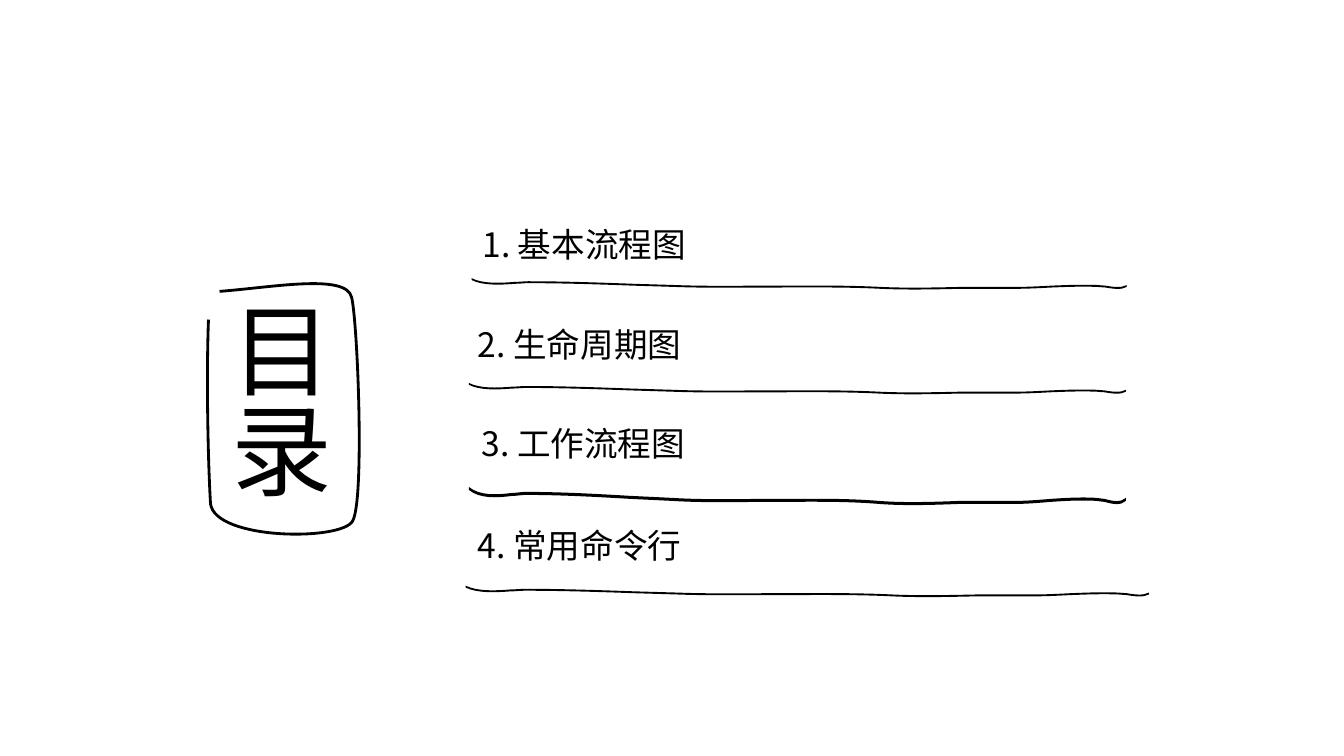
from dataclasses import dataclass

from lxml.etree import SubElement
from pptx import Presentation
from pptx.dml.color import RGBColor
from pptx.enum.text import MSO_ANCHOR, MSO_AUTO_SIZE, PP_ALIGN
from pptx.oxml.ns import qn
from pptx.util import Cm, Pt


@dataclass(frozen=True)
class Theme:
    """Colours, font and sizes of the slide."""
    ink: RGBColor = RGBColor(0, 0, 0)
    paper: RGBColor = RGBColor(255, 255, 255)
    font: str = "Noto Sans CJK JP"
    title_size: Pt = Pt(72)
    item_size: Pt = Pt(24)
    outline: Pt = Pt(2)


@dataclass(frozen=True)
class Box:
    """A rectangle in centimetres."""
    left: float
    top: float
    width: float
    height: float

    def place(self, shape):
        """Move and size a shape to this box."""
        shape.left, shape.top = Cm(self.left), Cm(self.top)
        shape.width, shape.height = Cm(self.width), Cm(self.height)

    def point(self, x, y):
        """Turn fractions of the box into slide coordinates."""
        return Cm(self.left + x * self.width), Cm(self.top + y * self.height)


THEME = Theme()
STROKE_SIZE = (6.54, 0.19)
STROKE_THICKNESS = 0.03
STROKE_CURVE = [
    (0.01, 0), (0.12, 0.09), (0.29, 0.08), (0.44, 0.06),
    (0.49, 0.06), (0.53, 0.05), (0.57, 0.05),
    (0.92, 0.05), (1.28, 0.07), (1.62, 0.09),
    (2.03, 0.11), (2.03, 0.11), (2.03, 0.11),
    (2.35, 0.13), (2.67, 0.12), (2.98, 0.12),
    (3.34, 0.12), (3.71, 0.11), (4.08, 0.14),
    (4.34, 0.16), (4.62, 0.15), (4.88, 0.14),
    (5.06, 0.14), (5.24, 0.14), (5.43, 0.14),
    (5.54, 0.14), (5.66, 0.13), (5.78, 0.12),
    (5.93, 0.11), (6.08, 0.1), (6.24, 0.11),
    (6.26, 0.11), (6.29, 0.12), (6.32, 0.12),
    (6.39, 0.14), (6.48, 0.16), (6.53, 0.11),
]
FRAME_SIZE = (1.5, 2.49)
FRAME_CURVE = [
    (0.12, 0.08), (0.65, 0.04), (1.38, -0.1), (1.43, 0.14),
    (1.49, 0.38), (1.56, 2.15), (1.44, 2.36),
    (1.33, 2.56), (0.08, 2.55), (0.03, 2.19),
    (0, 1.67), (-0.01, 0.84), (0.01, 0.36),
]
FRAME_BOX = Box(5.23, 7.14, 3.81, 6.32)
TITLE_BOX = Box(5.21, 7.42, 3.58, 6.05)
ITEMS = [
    ("1. 基本流程图", Box(11.91, 5.51, 16.51, 1.27), Box(11.86, 7.01, 16.56, 0.3)),
    ("2. 生命周期图", Box(11.79, 8.03, 17.12, 1.27), Box(11.79, 9.65, 16.61, 0.3)),
    ("3. 工作流程图", Box(11.89, 10.52, 13.77, 1.27), Box(11.79, 12.27, 16.61, 0.48)),
    ("4. 常用命令行", Box(11.79, 13.11, 16.64, 1.27), Box(11.71, 14.76, 17.27, 0.3)),
]


def bend(shape, box):
    """Turn each three line segments into one cubic curve and fit the shape to the box."""
    outline = shape._element.find(".//" + qn("a:path"))
    shift_x, shift_y = shape.left - Cm(box.left), shape.top - Cm(box.top)
    for point in outline.iter(qn("a:pt")):
        point.set("x", str(int(point.get("x")) + shift_x))
        point.set("y", str(int(point.get("y")) + shift_y))
    lines = outline.findall(qn("a:lnTo"))
    for first in range(0, len(lines), 3):
        curve = SubElement(outline, qn("a:cubicBezTo"))
        for line in lines[first:first + 3]:
            curve.append(line[0])
            outline.remove(line)
    for close in outline.findall(qn("a:close")):
        outline.append(close)
    box.place(shape)
    outline.set("w", str(shape.width))
    outline.set("h", str(shape.height))


def draw_outline(slide, box, curve, size, fill, close):
    """Draw a filled curve, scaled from its size to the box."""
    start, *rest = [box.point(x / size[0], y / size[1]) for x, y in curve]
    builder = slide.shapes.build_freeform(*start, scale=1.0)
    builder.add_line_segments(rest, close=close)
    shape = builder.convert_to_shape()
    bend(shape, box)
    shape.shadow.inherit = False
    shape.fill.solid()
    shape.fill.fore_color.rgb = fill
    return shape


def write_text(shape, text, size):
    """Write one left-aligned paragraph in the theme font."""
    frame = shape.text_frame
    frame.text = text
    frame.word_wrap = True
    frame.auto_size = MSO_AUTO_SIZE.SHAPE_TO_FIT_TEXT
    frame.vertical_anchor = MSO_ANCHOR.TOP
    paragraph = frame.paragraphs[0]
    paragraph.alignment = PP_ALIGN.LEFT
    font = paragraph.font
    font.name, font.size = THEME.font, size
    font.color.rgb = THEME.ink
    defaults = paragraph._p.pPr.find(qn("a:defRPr"))
    SubElement(defaults, qn("a:ea")).set("typeface", THEME.font)


def add_title(slide, frame_box, title_box):
    """Draw the hand-drawn frame and its vertical title."""
    frame = draw_outline(slide, frame_box, FRAME_CURVE, FRAME_SIZE, THEME.paper, False)
    frame.line.color.rgb = THEME.ink
    frame.line.width = THEME.outline
    title = slide.shapes.title
    title_box.place(title)
    write_text(title, "目录", THEME.title_size)
    title.text_frame._txBody.bodyPr.set("vert", "eaVert")
    slide.shapes._spTree.append(title._element)


def add_item(slide, text, text_box, stroke_box):
    """Write a contents entry above its brush stroke."""
    entry = slide.shapes.add_textbox(0, 0, 0, 0)
    write_text(entry, text, THEME.item_size)
    text_box.place(entry)
    lower = [(x, y + STROKE_THICKNESS) for x, y in reversed(STROKE_CURVE)]
    cap = [STROKE_CURVE[-1], lower[0]]
    stroke = draw_outline(slide, stroke_box, STROKE_CURVE + cap + lower,
                          STROKE_SIZE, THEME.ink, True)
    stroke.line.fill.background()


def main():
    """Build the contents slide and save it."""
    presentation = Presentation()
    presentation.slide_width, presentation.slide_height = Cm(33.87), Cm(19.05)
    slide = presentation.slides.add_slide(presentation.slide_layouts[5])
    for text, text_box, stroke_box in ITEMS:
        add_item(slide, text, text_box, stroke_box)
    add_title(slide, FRAME_BOX, TITLE_BOX)
    presentation.save("out.pptx")


if __name__ == "__main__":
    main()
